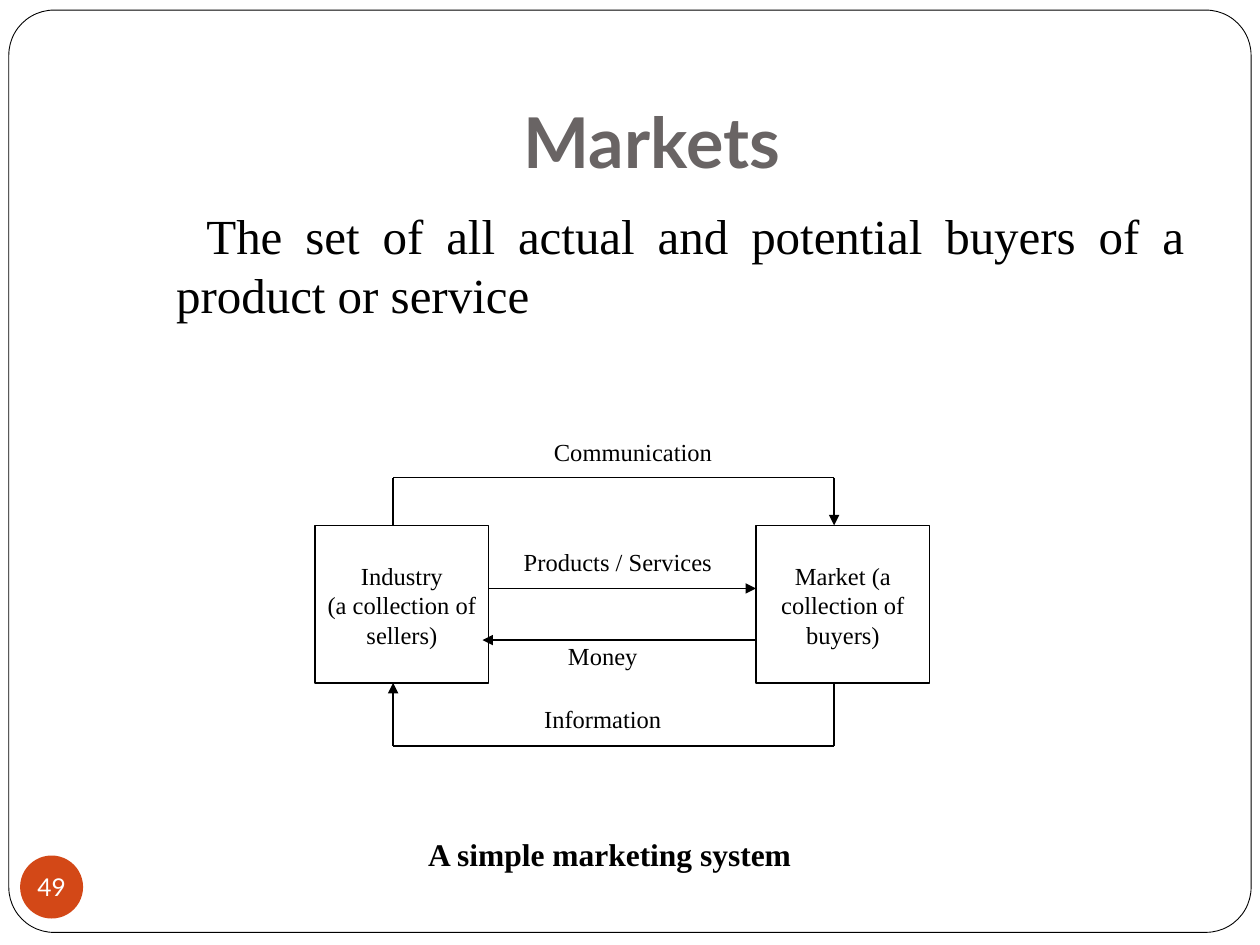
"""Build the Markets slide with a simple marketing system diagram."""
from lxml import etree
from pptx import Presentation
from pptx.dml.color import RGBColor
from pptx.enum.shapes import MSO_CONNECTOR, MSO_SHAPE
from pptx.enum.text import MSO_ANCHOR, PP_ALIGN
from pptx.oxml.ns import qn
from pptx.util import Inches, Pt

BLACK = RGBColor(0, 0, 0)
WHITE = RGBColor(255, 255, 255)
GREY = RGBColor(0x69, 0x64, 0x64)
ORANGE = RGBColor(0xD3, 0x48, 0x17)
SERIF, SANS = "Times New Roman", "Lato"
STRAIGHT = MSO_CONNECTOR.STRAIGHT
RECT, ROUND, OVAL = MSO_SHAPE.RECTANGLE, MSO_SHAPE.ROUNDED_RECTANGLE, MSO_SHAPE.OVAL
TOP, MIDDLE, BOTTOM = MSO_ANCHOR.TOP, MSO_ANCHOR.MIDDLE, MSO_ANCHOR.BOTTOM
CENTER, JUSTIFY = PP_ALIGN.CENTER, PP_ALIGN.JUSTIFY

prs = Presentation()
prs.slide_width, prs.slide_height = Inches(10), Inches(7.5)
s = prs.slides.add_slide(prs.slide_layouts[6])


def add_shape(kind, box, fill, line_width=None):
    sp = s.shapes.add_shape(kind, *map(Inches, box))
    sp.shadow.inherit = False
    sp.fill.solid()
    sp.fill.fore_color.rgb = fill
    if line_width:
        sp.line.color.rgb = BLACK
        sp.line.width = Pt(line_width)
    else:
        sp.line.fill.background()
    return sp


def set_text(sp, lines, size, font=SERIF, color=BLACK, bold=False, align=CENTER, anchor=TOP):
    tf = sp.text_frame
    tf.word_wrap = True
    tf.vertical_anchor = anchor
    tf.text = lines
    for p in tf.paragraphs:
        p.alignment = align
        p.font.size = Pt(size)
        p.font.name = font
        p.font.bold = bold
        p.font.color.rgb = color
    return tf


sp = add_shape(ROUND, (0.07, 0.08, 9.86, 7.32), WHITE, 0.5)
sp.adjustments[0] = 0.049

sp = add_shape(OVAL, (0.16, 6.79, 0.5, 0.5), ORANGE)
tf = set_text(sp, "49", 14, SANS, WHITE, anchor=MIDDLE)
tf.margin_left = tf.margin_right = tf.margin_top = tf.margin_bottom = 0
tf.word_wrap = False

sp = s.shapes.add_textbox(Inches(1), Inches(0.3), Inches(8.5), Inches(1.25))
tf = set_text(sp, "Markets", 40, SANS, GREY, bold=True, anchor=BOTTOM)
tf.margin_bottom = Inches(0.1)
tf.margin_right = Inches(0.25)

sp = s.shapes.add_textbox(Inches(1), Inches(1.58), Inches(8.5), Inches(5))
tf = set_text(sp, "The set of all actual and potential buyers of a product or service",
              28, align=JUSTIFY)
pPr = tf.paragraphs[0]._p.get_or_add_pPr()
pPr.set("marL", str(Inches(0.3)))
pPr.set("indent", str(Inches(0.24)))

for x, label in [(2.5, "Industry\n(a collection of sellers)"),
                 (6, "Market (a collection of buyers)")]:
    sp = add_shape(RECT, (x, 4.17, 1.38, 1.25), WHITE, 0.75)
    tf = set_text(sp, label, 14)
    tf.margin_top = Inches(0.28)

for x, y, w, h, label, size, bold in [
    (4.12, 3.42, 1.88, 0.38, "Communication", 14, False),
    (4, 4.29, 1.88, 0.38, "Products / Services", 14, False),
    (3.88, 5.04, 1.88, 0.38, "Money", 14, False),
    (3.88, 5.54, 1.88, 0.38, "Information", 14, False),
    (3.25, 6.58, 3.25, 0.62, "A simple marketing system", 18, True),
]:
    sp = s.shapes.add_textbox(Inches(x), Inches(y), Inches(w), Inches(h))
    tf = set_text(sp, label, size, bold=bold)
    tf.margin_right = Inches(0.17)

for x1, y1, x2, y2, arrow in [
    (3.12, 4.17, 3.12, 3.79, False),
    (3.12, 3.79, 6.62, 3.79, False),
    (6.62, 3.79, 6.62, 4.17, True),
    (3.88, 4.67, 6, 4.67, True),
    (6, 5.08, 3.83, 5.08, True),
    (6.62, 5.42, 6.62, 5.92, False),
    (6.62, 5.92, 3.12, 5.92, False),
    (3.12, 5.92, 3.12, 5.42, True),
]:
    line = s.shapes.add_connector(STRAIGHT, *map(Inches, (x1, y1, x2, y2)))
    line.line.color.rgb = BLACK
    line.line.width = Pt(0.75)
    if arrow:
        etree.SubElement(line.line._get_or_add_ln(), qn("a:tailEnd"), type="triangle")
    etree.SubElement(line._element.spPr, qn("a:effectLst"))

prs.save("out.pptx")
